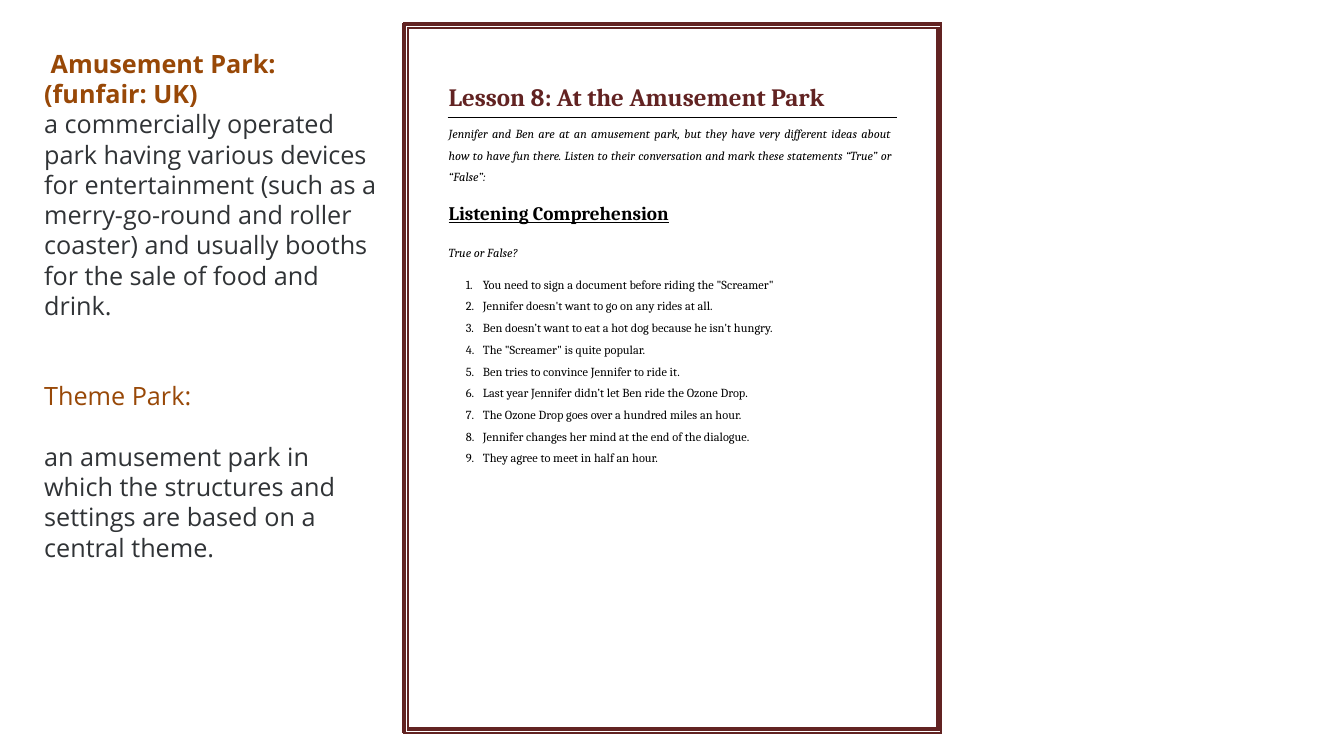
from itertools import pairwise
from lxml.etree import SubElement as Sub
from pptx import Presentation
from pptx.dml.color import RGBColor as Rgb
from pptx.enum.text import MSO_ANCHOR as Anchor, MSO_AUTO_SIZE as Fit, PP_ALIGN as Align
from pptx.oxml.ns import qn
from pptx.util import Inches, Pt

WINE, BLACK, BROWN, GREY = "622322", "000000", "984807", "303336"
SMALL = {"size": Pt(8.85), "name": "Cambria"}
LARGE = {"size": Pt(18), "name": "Open Sans"}
ASKS = [
    "You need to sign a document before riding the \"Screamer\"",
    "Jennifer doesn't want to go on any rides at all.",
    "Ben doesn’t want to eat a hot dog because he isn't hungry.",
    "The \"Screamer\" is quite popular.",
    "Ben tries to convince Jennifer to ride it.",
    "Last year Jennifer didn’t let Ben ride the Ozone Drop.",
    "The Ozone Drop goes over a hundred miles an hour.",
    "Jennifer changes her mind at the end of the dialogue.",
    "They agree to meet in half an hour.",
]
TERMS = [
    (" Amusement Park:", BROWN, True, 0),
    ("(funfair: UK)", BROWN, True, 0),
    ("a commercially operated park having various devices for entertainment "
     "(such as a merry-go-round and roller coaster) and usually booths for "
     "the sale of food and drink.", GREY, False, 0),
    ("Theme Park:", BROWN, False, 43),
    ("an amusement park in which the structures and settings are based on a "
     "central theme.", GREY, False, 21.6),
]


def paint(text):
    """Turn a hex string into a colour."""
    return Rgb.from_string(text)


def apply(item, vals):
    """Set each attribute named in a dict."""
    for key, val in vals.items():
        setattr(item, key, val)


def setup(shape, box, pad=0):
    """Place a text shape and return its cleaned frame."""
    apply(shape, dict(zip(("left", "top", "width", "height"), map(Inches, box))))
    frame = shape.text_frame
    apply(frame, {"word_wrap": True, "auto_size": Fit.NONE, "vertical_anchor": Anchor.TOP})
    if not pad:
        sides = ("left", "top", "right", "bottom")
        apply(frame, {f"margin_{side}": 0 for side in sides})
    return frame


def write(frame, text, color, font, para=None, indent=0.01, hang=0):
    """Fill the first free paragraph and return it."""
    line = frame.paragraphs[0]
    if line.runs:
        line = frame.add_paragraph()
    run = line.add_run()
    run.text = text
    apply(run.font, font)
    run.font.color.rgb = paint(color)
    apply(line, {"alignment": Align.LEFT, "space_before": Pt(0), **(para or {})})
    props = line._p.get_or_add_pPr()
    props.set("marL", str(Inches(indent)))
    props.set("indent", str(Inches(hang)))
    return line


def rule(slide, ends, color, width):
    """Draw one straight line."""
    link = slide.shapes.add_connector(1, *map(Inches, ends))
    link.line.color.rgb = paint(color)
    link.line.width = Pt(width)
    Sub(link._element.spPr, qn("a:effectLst"))


def border(slide, box):
    """Draw a double border whose outer sides have corner pieces."""
    x, y, w, h = box
    right, low = x + w, y + h
    wide = (x - 0.01, x + 0.04, right - 0.05, right + 0.01)
    tall = (y - 0.01, y + 0.04, low - 0.05, low)
    for level, width in ((y, 3), (low, 1.46)):
        for start, end in pairwise(wide):
            rule(slide, (start, level, end, level), WINE, width)
    for edge, width in ((x, 3), (right, 1.44)):
        for start, end in pairwise(tall):
            rule(slide, (edge, start, edge, end), WINE, width)
    for level, width in ((y + 0.04, 1.44), (low - 0.04, 3)):
        rule(slide, (x + 0.04, level, right - 0.05, level), WINE, width)
    for edge, width in ((x + 0.04, 1.44), (right - 0.03, 3)):
        rule(slide, (edge, y + 0.03, edge, low - 0.02), WINE, width)


def lesson(slide, box):
    """Set the lesson heading, introduction and statements."""
    x, y, w, h = box

    def area(down, wide, high):
        return setup(slide.shapes.add_textbox(0, 0, 0, 0), (x, y + down, wide, high))

    head = setup(slide.shapes.title, (x, y, w, 0.3))
    write(head, "Lesson 8: At the Amusement Park", WINE,
          {**SMALL, "size": Pt(17.8), "bold": True})
    rule(slide, (x, y + 0.35, x + w, y + 0.35), BLACK, 0.48)
    write(area(0.37, w - 0.01, 0.63),
          "Jennifer and Ben are at an amusement park, but they have very different "
          "ideas about  how to have fun there. Listen to their conversation and mark "
          "these statements “True” or  “False”:", BLACK, {**SMALL, "italic": True},
          {"alignment": Align.JUSTIFY, "line_spacing": 1.47})
    write(area(1.19, 2.25, 0.23), "Listening Comprehension", BLACK,
          {**SMALL, "size": Pt(13.65), "bold": True, "underline": True})
    quiz = area(1.62, 3.4, h - 1.62)
    write(quiz, "True or False?", BLACK, {**SMALL, "italic": True})
    for num, ask in enumerate(ASKS):
        line = write(quiz, ask, BLACK, SMALL,
                     {"space_before": Pt(4.9 if num else 12.2)}, 0.35, -0.17)
        Sub(line._p.get_or_add_pPr(), qn("a:buAutoNum"), type="arabicPeriod")


def terms(slide, box):
    """List the two park terms with their meanings."""
    frame = setup(slide.shapes.add_textbox(0, 0, 0, 0), box, 1)
    for text, color, bold, gap in TERMS:
        write(frame, text, color, {**LARGE, "bold": bold},
              {"space_before": Pt(gap)}, 0)


def main():
    """Build and save the slide."""
    deck = Presentation()
    apply(deck, {"slide_width": Inches(13.33), "slide_height": Inches(7.5)})
    slide = deck.slides.add_slide(deck.slide_layouts[5])
    lesson(slide, (4.44, 0.81, 4.46, 3.84))
    border(slide, (4.01, 0.24, 5.32, 7.03))
    terms(slide, (0.34, 0.43, 3.56, 5.25))
    deck.save("out.pptx")


if __name__ == "__main__":
    main()
